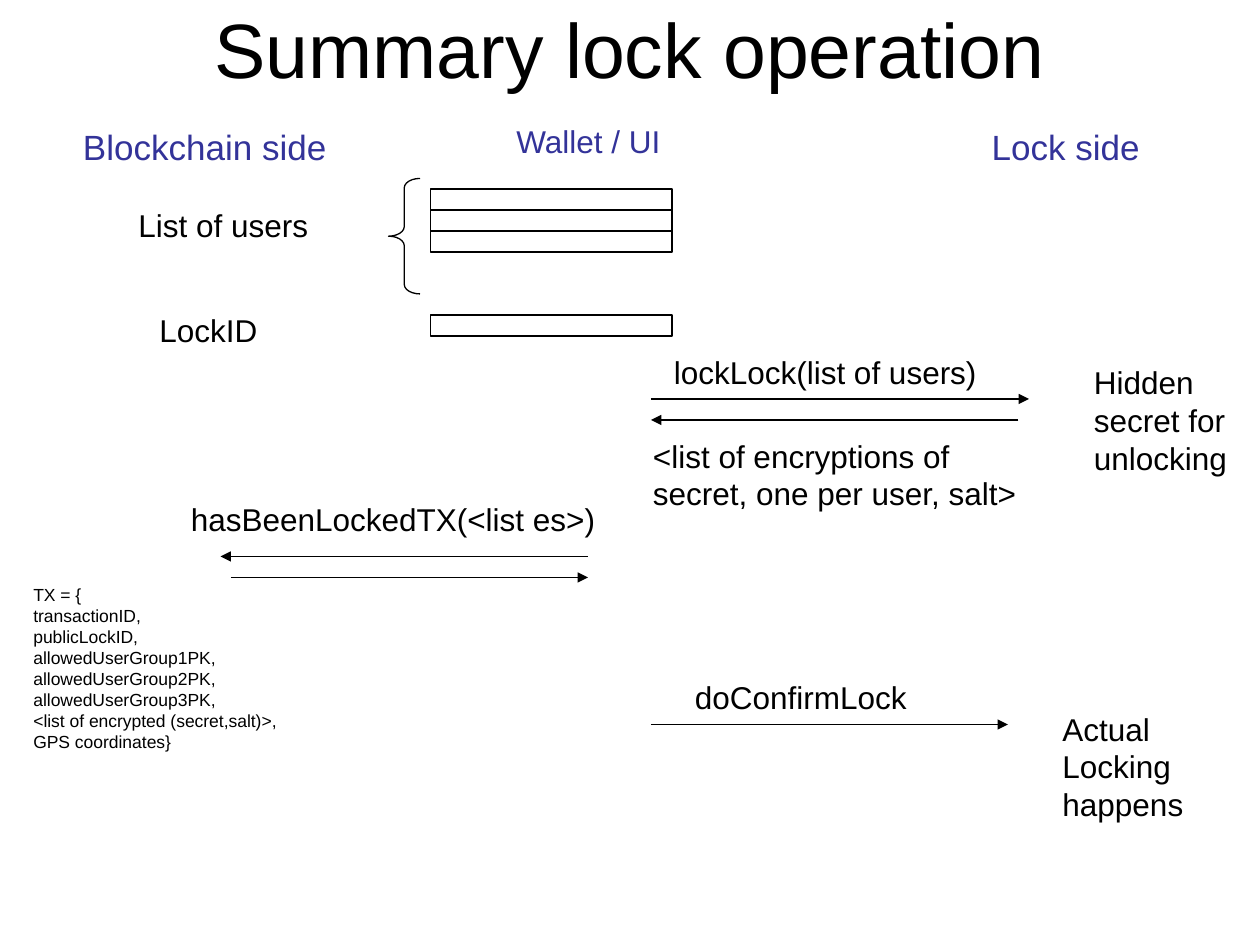
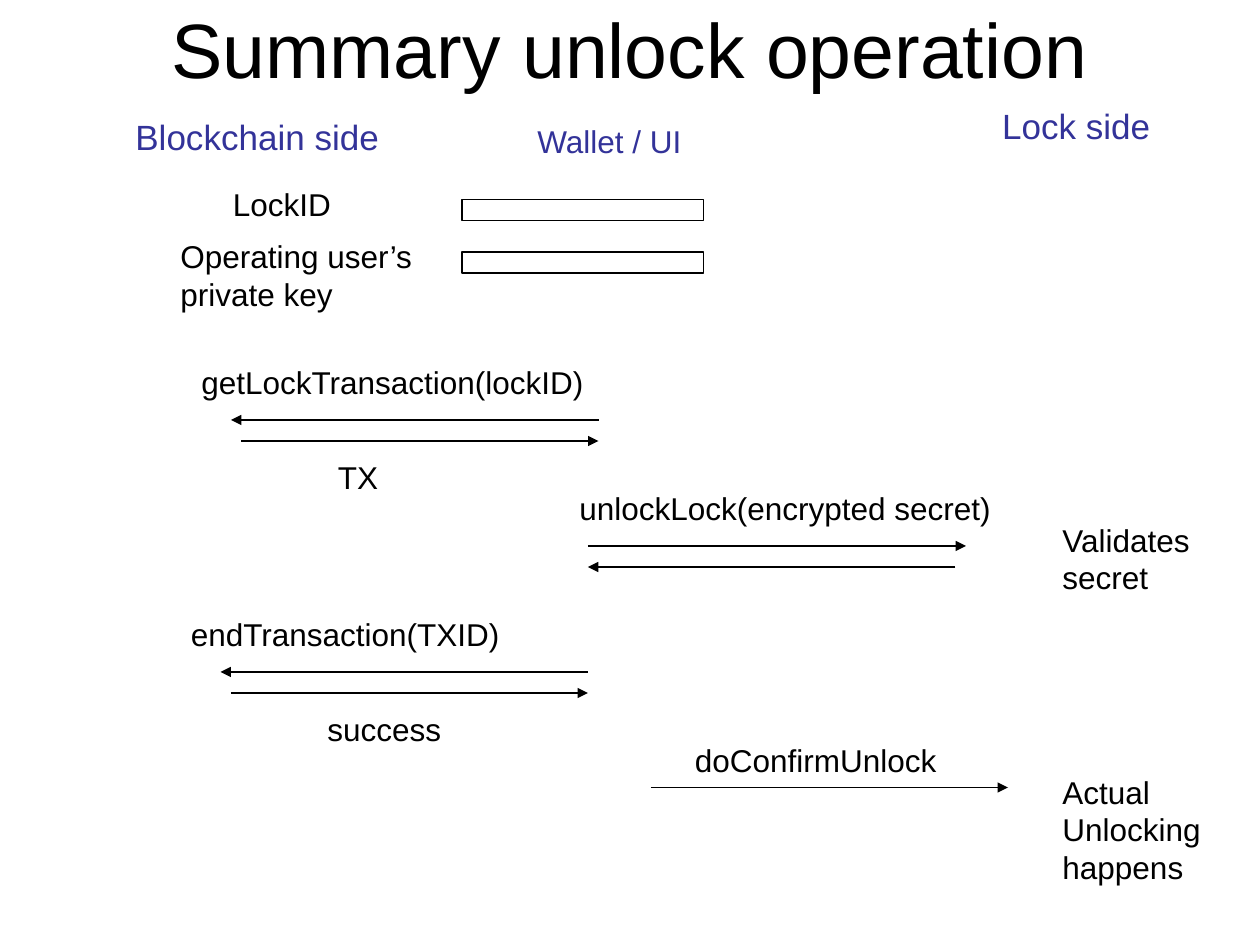
from lxml.etree import SubElement
from pptx import Presentation
from pptx.dml.color import RGBColor as RGB
from pptx.enum.shapes import MSO_CONNECTOR as Link, MSO_SHAPE as Form
from pptx.enum.text import MSO_ANCHOR as Anchor, MSO_AUTO_SIZE as Fit, PP_ALIGN as Align
from pptx.oxml.ns import qn
from pptx.util import Emu, Pt

PX = 9525  # one px is 1/96 inch
INK = {"text": "000000", "head": "333399", "line": "000000"}
FONT = "Arial"
BAR = (184, 16)


def px(*vals):
    return [Emu(v * PX) for v in vals]


class Deck:
    def __init__(self):
        self.prs = Presentation()
        self.prs.slide_width, self.prs.slide_height = px(960, 720)
        self.slide = None

    def page(self, title):
        self.slide = self.prs.slides.add_slide(self.prs.slide_layouts[6])
        self.text(48, -24, 864, 120, title, size=44, mid=True)

    def text(self, x, y, w, h, *lines, size=18, ink="text", mid=False, gap=0, wrap=True):
        box = self.slide.shapes.add_textbox(*px(x, y, w, h))
        frame = box.text_frame
        frame.word_wrap = wrap
        if mid:
            frame.vertical_anchor = Anchor.MIDDLE
        else:
            frame.auto_size = Fit.SHAPE_TO_FIT_TEXT
        for i, line in enumerate(lines):
            para = frame.add_paragraph() if i else frame.paragraphs[0]
            para.alignment = Align.CENTER if mid else Align.LEFT
            para.space_before = Pt(gap)
            run = para.add_run()
            run.text = line
            run.font.name, run.font.size = FONT, Pt(size)
            run.font.color.rgb = RGB.from_string(INK[ink])

    def label(self, x, y, w, words, rows=1):
        self.text(x, y, w, 9 + 29 * rows, words, gap=11.2)

    def heads(self, chain, wallet, lock):
        for (x, y), words in ((chain, "Blockchain side"), (lock, "Lock side")):
            self.text(x, y, 248, 48, words, size=20, ink="head", mid=True)
        self.text(*wallet, 130, 38, "Wallet / UI", ink="head", wrap=False)

    def pen(self, item):
        item.line.color.rgb = RGB.from_string(INK["line"])
        item.line.width = Pt(0.75)

    def shape(self, form, x, y, w, h):
        item = self.slide.shapes.add_shape(form, *px(x, y, w, h))
        item.shadow.inherit = False
        item.fill.background()
        self.pen(item)
        return item

    def bar(self, x, y):
        self.shape(Form.RECTANGLE, x, y, *BAR)

    def brace(self, x, y, w, h):
        self.shape(Form.LEFT_BRACE, x, y, w, h).adjustments[0] = 0.3

    def arrow(self, start, end, y):
        link = self.slide.shapes.add_connector(Link.STRAIGHT, *px(start, y, end, y))
        self.pen(link)
        SubElement(link.line._get_or_add_ln(), qn("a:tailEnd"), type="triangle")
        SubElement(link._element.spPr, qn("a:effectLst"))

    def trip(self, start, end, y):
        """A call, and its reply just below, which starts a little short."""
        self.arrow(start, end, y)
        self.arrow(end + (8 if end < start else -8), start, y + 16)


def lock(deck):
    deck.page("Summary lock operation")
    deck.heads((32, 88), (384, 88), (688, 88))

    # Wallet data
    deck.label(96, 152, 160, "List of users")
    deck.brace(296, 136, 24, 88)
    for i in range(3):
        deck.bar(328, 144 + i * BAR[1])
    deck.label(112, 232, 160, "LockID")
    deck.bar(328, 240)

    # Wallet and lock
    deck.label(504, 264, 288, "lockLock(list of users)")
    deck.trip(496, 784, 304)
    deck.label(488, 328, 312, "<list of encryptions of secret, one per user, salt>", 2)
    deck.label(824, 272, 160, "Hidden secret for unlocking", 3)

    # Wallet and blockchain
    deck.label(136, 376, 344, "hasBeenLockedTX(<list es>)")
    deck.trip(448, 168, 424)
    groups = [f"allowedUserGroup{n}PK," for n in (1, 2, 3)]
    deck.text(16, 440, 232, 162, "TX = {", "transactionID,", "publicLockID,", *groups,
              "<list of encrypted (secret,salt)>,", "GPS coordinates}", size=10)

    # Confirmation
    deck.label(520, 512, 288, "doConfirmLock")
    deck.arrow(496, 768, 552)
    deck.label(800, 536, 160, "Actual Locking happens", 3)


def unlock(deck):
    deck.page("Summary unlock operation")
    deck.heads((72, 80), (400, 88), (696, 72))

    # Wallet data
    deck.label(168, 136, 160, "LockID")
    deck.bar(352, 152)
    deck.label(128, 176, 256, "Operating user’s private key", 2)
    deck.bar(352, 192)

    # Fetch the transaction
    deck.label(144, 272, 344, "getLockTransaction(lockID)")
    deck.trip(456, 176, 320)
    deck.label(248, 344, 96, "TX")

    # Unlock
    deck.label(432, 368, 344, "unlockLock(encrypted secret)")
    deck.trip(448, 736, 416)
    deck.label(800, 392, 128, "Validates secret", 2)

    # End the transaction
    deck.label(136, 464, 344, "endTransaction(TXID)")
    deck.trip(448, 168, 512)
    deck.label(240, 536, 128, "success")

    # Confirmation
    deck.label(520, 560, 288, "doConfirmUnlock")
    deck.arrow(496, 768, 600)
    deck.label(800, 584, 160, "Actual Unlocking happens", 3)


def main():
    deck = Deck()
    lock(deck)
    unlock(deck)
    deck.prs.save("out.pptx")


if __name__ == "__main__":
    main()
